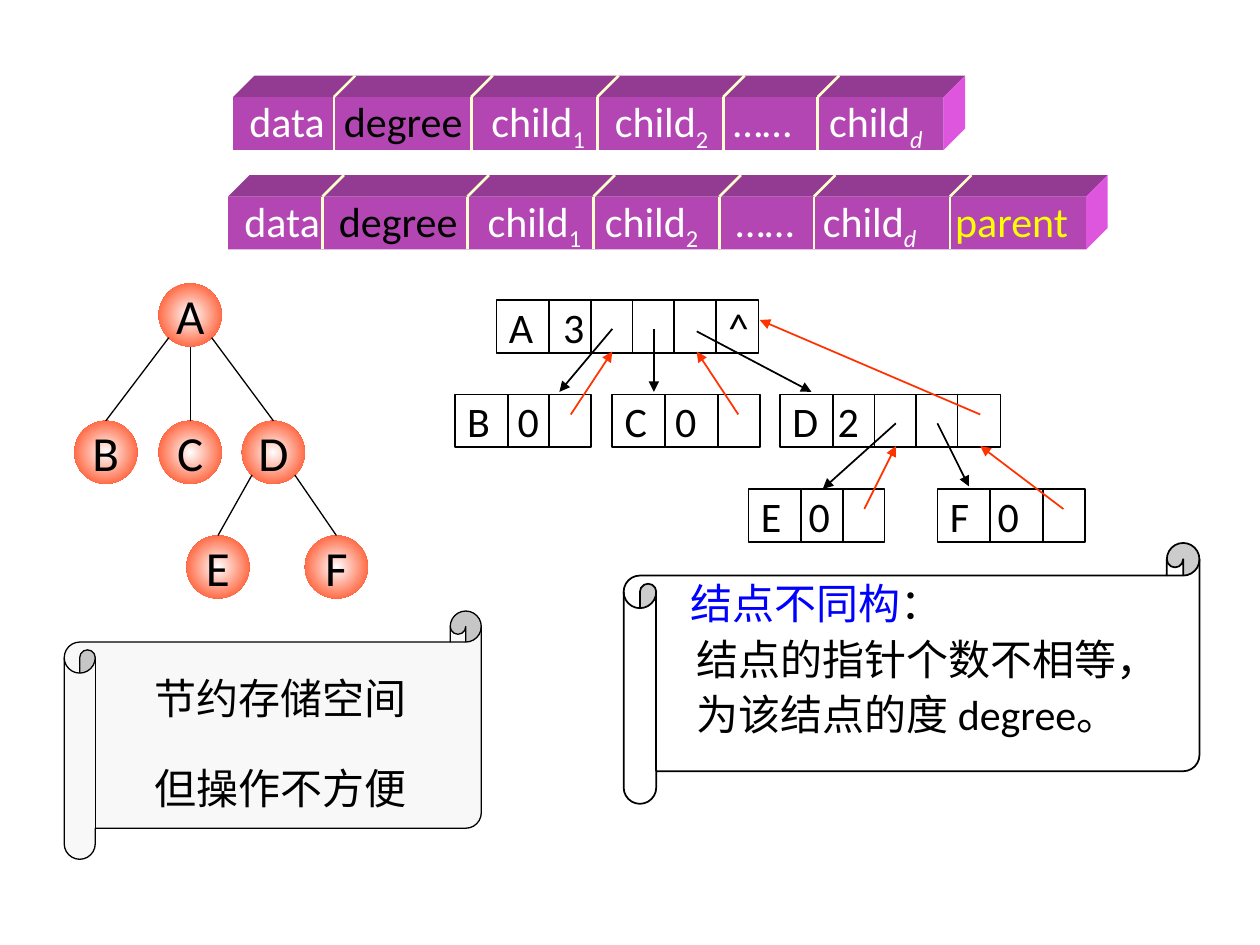
import pptx
import pptx.util
import pptx.dml.color
import pptx.enum.shapes
import pptx.enum.text
import pptx.oxml
import pptx.oxml.ns

Inches = pptx.util.Inches
SHAPES = pptx.enum.shapes.MSO_SHAPE
ALIGN = pptx.enum.text.PP_ALIGN
FONT = "Calibri"
COLORS = {
    "black": "000000", "white": "FFFFFF", "red": "FF3300", "blue": "0000FF",
    "yellow": "FFFF00", "cream": "FFFFCC", "paper": "F8F8F8",
    "front": "B346B3", "top": "933A93", "side": "DE55DE",
}


def rgb(name):
    return pptx.dml.color.RGBColor.from_string(COLORS[name])


def add_xml(parent, tag, **attributes):
    child = pptx.oxml.parse_xml(f"<{tag} {pptx.oxml.ns.nsdecls('a')}/>")
    for key, value in attributes.items():
        child.set(key, str(value))
    parent.append(child)
    return child


def paint(shape, fill=None, line=None, width=1):
    shape.shadow.inherit = False
    if fill:
        shape.fill.solid()
        shape.fill.fore_color.rgb = rgb(fill)
    else:
        shape.fill.background()
    if line:
        shape.line.color.rgb = rgb(line)
        shape.line.width = pptx.util.Pt(width)
    else:
        shape.line.fill.background()
    return shape


def add_line(page, start, end, color="black", width=1, arrow=False):
    line = page.shapes.add_connector(
        pptx.enum.shapes.MSO_CONNECTOR.STRAIGHT, *map(Inches, start + end))
    line.line.color.rgb = rgb(color)
    line.line.width = pptx.util.Pt(width)
    if arrow:
        add_xml(line.line._get_or_add_ln(), "a:tailEnd", type="triangle")
    add_xml(line._element.spPr, "a:effectLst")


def set_frame(shape, wrap=False, margins=(0, 0, 0, 0)):
    frame = shape.text_frame
    frame.word_wrap = wrap
    frame.vertical_anchor = pptx.enum.text.MSO_ANCHOR.MIDDLE
    (frame.margin_left, frame.margin_top,
     frame.margin_right, frame.margin_bottom) = map(Inches, margins)
    return frame


def add_span(para, text, color="black", size=24, subscript=False, italic=False):
    span = para.add_run()
    span.text = text
    span.font.name = FONT
    span.font.size = pptx.util.Pt(size)
    span.font.color.rgb = rgb(color)
    span.font.italic = italic
    if subscript:
        span.font._element.set("baseline", "-25000")


def set_tabs(para, stops):
    tabs = add_xml(para._p.get_or_add_pPr(), "a:tabLst")
    for stop in stops:
        add_xml(tabs, "a:tab", pos=Inches(stop), algn="l")


def add_field_bar(page, left, top, width, fields, dividers, stops):
    """A bar with depth whose fields are parted by dividers."""
    depth, height, inset = 0.17, 0.42, 0.13
    right, bottom = left + width, top + height
    paint(page.shapes.add_shape(SHAPES.RECTANGLE, *map(
        Inches, (left, top, width, height))), "front")
    faces = {
        "top": [(left, top), (left + depth, top - depth),
                (right + depth, top - depth), (right, top)],
        "side": [(right, top), (right + depth, top - depth),
                 (right + depth, bottom - depth), (right, bottom)],
    }
    for face, corners in faces.items():
        points = [(Inches(x), Inches(y)) for x, y in corners]
        builder = page.shapes.build_freeform(*points[0])
        builder.add_line_segments(points[1:], close=True)
        paint(builder.convert_to_shape(), face)

    # Field names sit on tab stops
    box = page.shapes.add_textbox(*map(
        Inches, (left + inset, top - 0.08, width, 0.55)))
    para = set_frame(box, wrap=True).paragraphs[0]
    para.line_spacing = 1.1
    set_tabs(para, [stop - inset for stop in stops])
    for index, (name, sub, color) in enumerate(fields):
        add_span(para, ("\t" if index else "") + name, color)
        if sub:
            add_span(para, sub, color, subscript=True, italic=sub == "d")

    for offset in dividers:
        x = left + offset
        add_line(page, (x, bottom), (x, top), "cream", 1.5)
        add_line(page, (x, top), (x + depth, top - depth), "cream", 1.5)


def add_tree(page, left, top):
    size = 0.5
    nodes = {"A": (0.67, 0), "B": (0, 1.09), "C": (0.67, 1.09),
             "D": (1.33, 1.09), "E": (0.89, 2), "F": (1.83, 2)}
    for name, (x, y) in nodes.items():
        node = paint(page.shapes.add_shape(SHAPES.OVAL, *map(
            Inches, (left + x, top + y, size, size))))
        node.fill.gradient()
        for stop, color in zip(node.fill.gradient_stops, ("white", "red")):
            stop.color.rgb = rgb(color)
        gradient = node._element.spPr.find(pptx.oxml.ns.qn("a:gradFill"))
        gradient.remove(gradient.find(pptx.oxml.ns.qn("a:lin")))
        shade = add_xml(gradient, "a:path", path="circle")
        add_xml(shade, "a:fillToRect", l=50000, t=50000, r=50000, b=50000)
        para = set_frame(node).paragraphs[0]
        para.alignment = ALIGN.CENTER
        add_span(para, name, size=28)

    for parent, child in ("AB", "AC", "AD", "DE", "DF"):
        (x1, y1), (x2, y2) = nodes[parent], nodes[child]
        side = (x2 > x1) - (x2 < x1)
        start = (left + x1 + size / 2 + side * 0.17,
                 top + y1 + (0.43 if side else size))
        add_line(page, start, (left + x2 + size / 2, top + y2), width=0.75)


def add_records(page, left, top):
    """Linked records, each split into cells, with child and parent links."""
    height, first = 0.42, 0.42
    # text, x, y, width, cell step, dividers, tab stops
    records = [
        ("A\t3\t^", 0.33, 0, 2.08, 0.33, 5, (0.43, 1.74)),
        ("B\t0", 0, 0.75, 1.08, 0.33, 2, (0.4,)),
        ("C\t0", 1.25, 0.75, 1.17, 0.42, 2, (0.4,)),
        ("D\t2", 2.58, 0.75, 1.75, 0.33, 4, (0.36,)),
        ("E\t0", 2.33, 1.5, 1.08, 0.33, 2, (0.38,)),
        ("F\t0", 3.83, 1.5, 1.17, 0.42, 2, (0.38,)),
    ]
    for text, x, y, width, step, dividers, stops in records:
        x, y = left + x, top + y
        record = paint(page.shapes.add_shape(SHAPES.RECTANGLE, *map(
            Inches, (x, y, width, height))), line="black")
        para = set_frame(record, True, (0.1, 0, 0, 0)).paragraphs[0]
        para.alignment = ALIGN.LEFT
        set_tabs(para, stops)
        add_span(para, text)
        for index in range(dividers):
            divider = x + first + index * step
            add_line(page, (divider, y), (divider, y + height))

    links = {
        "black": [(1.25, 0.23, 0.83, 0.73), (1.58, 0.23, 1.58, 0.73),
                  (1.92, 0.25, 2.83, 0.73), (3.5, 0.98, 2.92, 1.5),
                  (3.83, 0.98, 4.08, 1.48)],
        "red": [(0.92, 0.91, 1.25, 0.41), (2.25, 0.91, 1.92, 0.41),
                (4.17, 0.91, 2.42, 0.16), (3.25, 1.66, 3.5, 1.16),
                (4.83, 1.66, 4.17, 1.16)],
    }
    for color, ends in links.items():
        for x1, y1, x2, y2 in ends:
            add_line(page, (left + x1, top + y1), (left + x2, top + y2),
                     color, arrow=True)


def add_scroll(page, box, fill, width, lines, align, wrap, margins):
    scroll = paint(page.shapes.add_shape(
        SHAPES.HORIZONTAL_SCROLL, *map(Inches, box)), fill, "black", width)
    frame = set_frame(scroll, wrap, margins)
    for index, (spacing, indent, spans) in enumerate(lines):
        para = frame.add_paragraph() if index else frame.paragraphs[0]
        para.alignment = align
        para.line_spacing = spacing
        if indent:
            para._p.get_or_add_pPr().set("marL", str(Inches(indent)))
        for text, color in spans:
            add_span(para, text, color)


def main():
    deck = pptx.Presentation()
    deck.slide_width, deck.slide_height = Inches(10), Inches(7.5)
    page = deck.slides.add_slide(deck.slide_layouts[6])

    # Node layouts, without and with a parent field
    fields = [("data", "", "white"), ("degree", "", "black"),
              ("child", "1", "white"), ("child", "2", "white"),
              ("……", "", "white"), ("child", "d", "white")]
    add_field_bar(page, 1.85, 0.77, 5.64, fields,
                  (0.8, 1.89, 2.89, 3.89, 4.64), (0.88, 2.05, 3.03, 3.97, 4.73))
    add_field_bar(page, 1.81, 1.56, 6.81, fields + [("parent", "", "yellow")],
                  (0.75, 1.9, 2.9, 3.9, 4.65, 5.73),
                  (0.88, 2.06, 2.99, 4.03, 4.72, 5.77))

    # Tree and its linked storage
    add_tree(page, 0.59, 2.25)
    add_records(page, 3.61, 2.38)

    # Remarks
    add_scroll(page, (0.51, 4.85, 3.31, 1.97), "paper", 0.75, [
        (1.3, 0, [("节约存储空间", "black")]),
        (1.8, 0, [("但操作不方便", "black")]),
    ], ALIGN.CENTER, False, (0.1, 0.05, 0.1, 0.05))
    add_scroll(page, (4.95, 4.31, 4.57, 2.07), "white", 1, [
        (1.4, 0.17, [("结点不同构", "blue"), ("：", "black")]),
        (1.1, 0.22, [("结点的指针个数不相等，", "black")]),
        (1.1, 0.22, [("为该结点的度 degree。", "black")]),
    ], ALIGN.LEFT, True, (0.1, 0.05, 0, 0.45))
    deck.save("out.pptx")


if __name__ == "__main__":
    main()
